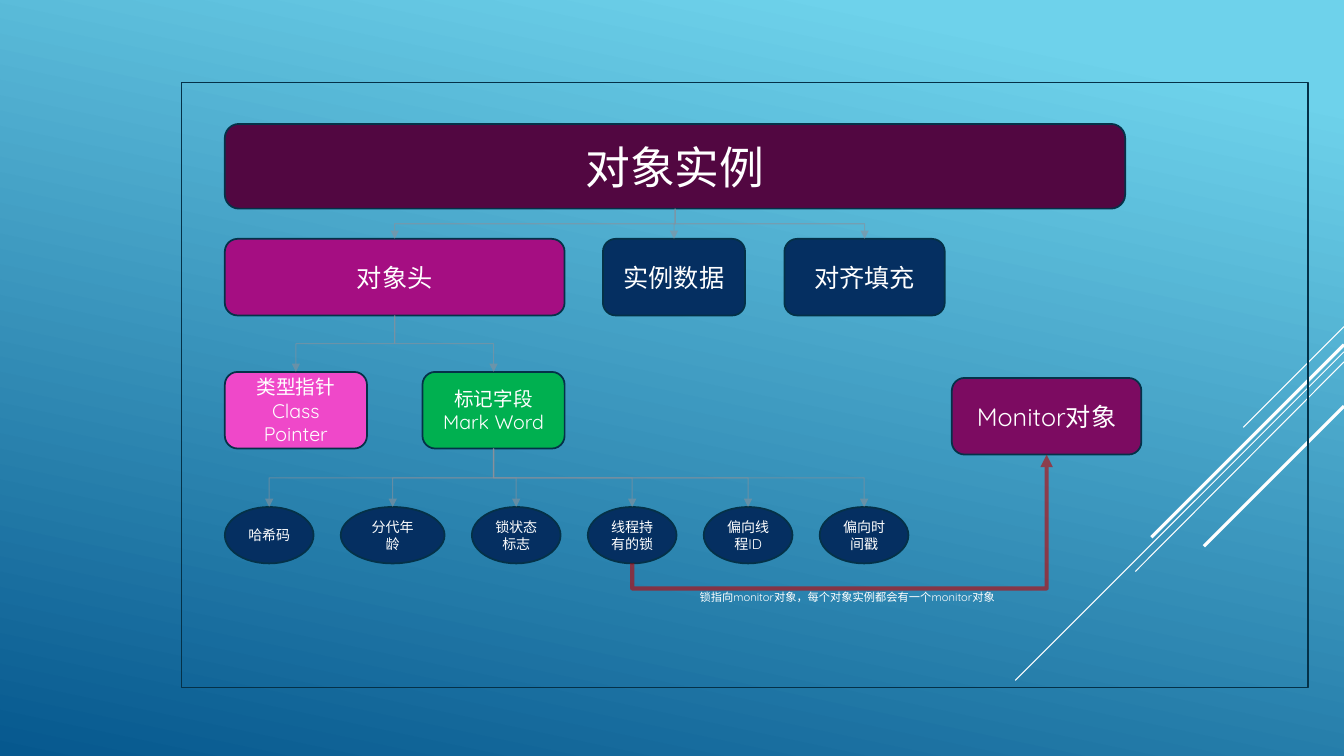
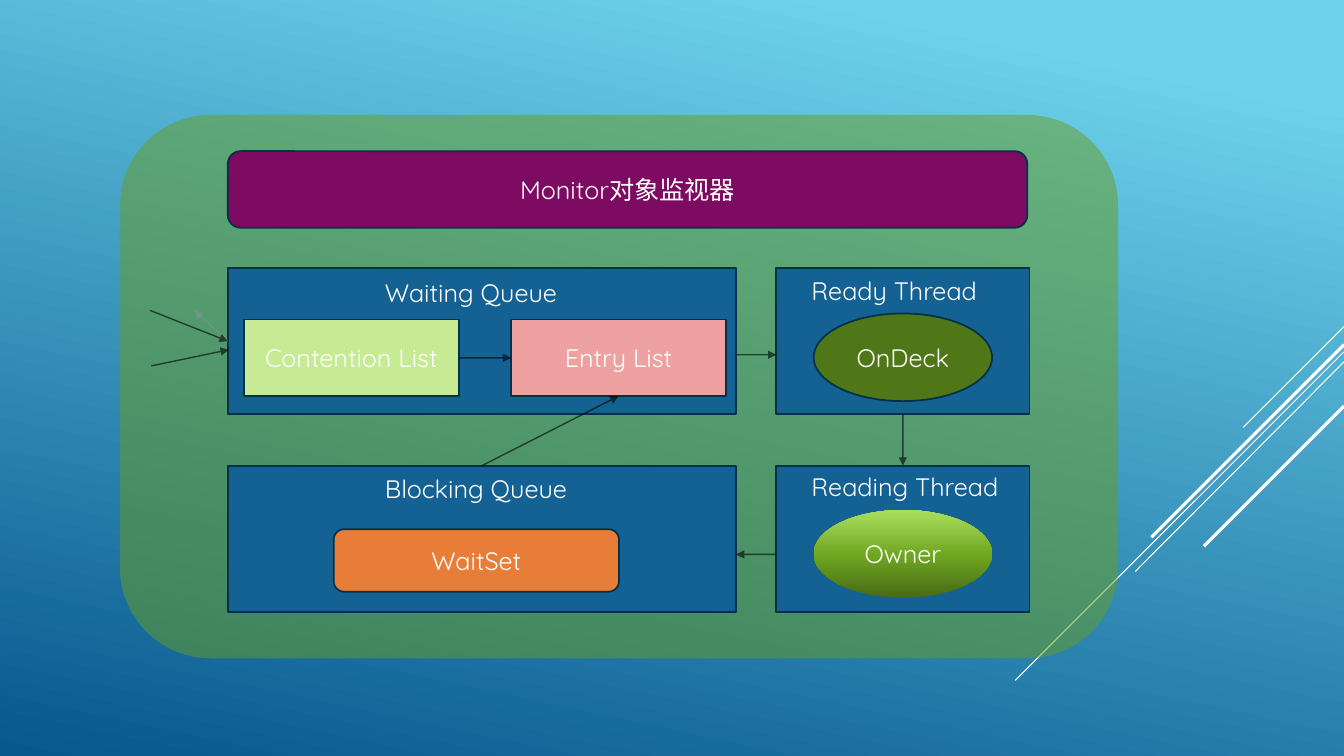
from copy import deepcopy

from lxml import etree
from pptx import Presentation, util as u
from pptx.dml import color
from pptx.enum import shapes, text
from pptx.oxml import ns

PX = 9144
RECT = shapes.MSO_SHAPE.RECTANGLE
ROUND = shapes.MSO_SHAPE.ROUNDED_RECTANGLE
OVAL = shapes.MSO_SHAPE.OVAL
TOP, LEFT, BOTTOM, RIGHT = range(4)


def px(length):
    """Turn px into EMU."""
    return u.Emu(length * PX)


def rgb(code):
    """Turn a hex string into a colour."""
    return color.RGBColor.from_string(code)


def find(item, tag):
    """Return the first element of a kind inside an item."""
    return item.element.find(".//" + ns.qn(tag))


def add_xml(parent, tag, **attributes):
    """Append a small XML element."""
    return etree.SubElement(parent, ns.qn(tag), **attributes)


class Slides:
    """Holds the style and the current slide."""

    FONT = "Quicksand"
    WHITE = "FFFFFF"
    OUTLINE = "043148"
    NAVY = "052F61"
    BLUE = "146194"
    PLUM = "7C0B61"
    GREY = "89919C"
    BLACK = "000000"
    RED = "C00000"
    STRIPES = [
        (324, 1233, 424, 0.75),
        (349, 1007, 675, 0.75),
        (359, 1126, 567, 0.75),
        (342, 1142, 533, 2.25),
        (403, 1194, 542, 2.25),
    ]

    def __init__(self):
        """Open a deck with the shared background."""
        self.deck = Presentation()
        self.deck.slide_width, self.deck.slide_height = px(1333), px(750)
        master = self.deck.slide_master
        self.gradient(master, master.background.fill, 258,
                      [(0.1, "6ED2EB"), (1, "06588E")])

    def new_page(self):
        """Start a blank page with the diagonal stripes."""
        self.page = self.deck.slides.add_slide(self.deck.slide_layouts[6])
        for y, end_x, end_y, weight in self.STRIPES:
            self.line((1333, y), (end_x, end_y), self.WHITE, weight)

    def gradient(self, item, fill, angle, stops):
        """Fill with a linear gradient of any number of stops."""
        fill.gradient()
        fill.gradient_angle = angle
        stop_list = find(item, "a:gsLst")
        for _ in stops[2:]:
            stop_list.append(deepcopy(stop_list[-1]))
        for stop, (position, code) in zip(fill.gradient_stops, stops):
            stop.position = position
            stop.color.rgb = rgb(code)

    def fade(self, item, percent):
        """Make the first plain colour of an item translucent."""
        add_xml(find(item, "a:srgbClr"), "a:alpha", val=str(percent * 1000))

    def add_lines(self, frame, lines, size, align):
        """Add one paragraph for each line."""
        frame.word_wrap = True
        for number, line in enumerate(lines):
            para = frame.add_paragraph() if number else frame.paragraphs[0]
            para.alignment = align
            span = para.add_run()
            span.text = line
            span.font.name = self.FONT
            span.font.size = u.Pt(size)
            span.font.color.rgb = rgb(self.WHITE)

    def box(self, kind, place, fill=None, lines=(), size=18, outline=True):
        """Add a preset shape with centred text."""
        box = self.page.shapes.add_shape(kind, *map(px, place))
        box.shadow.inherit = False
        if fill:
            box.fill.solid()
            box.fill.fore_color.rgb = rgb(fill)
        else:
            box.fill.background()
        if outline:
            box.line.color.rgb = rgb(self.OUTLINE)
            box.line.width = u.Pt(1.25)
        else:
            box.line.fill.background()
        box.text_frame.vertical_anchor = text.MSO_ANCHOR.MIDDLE
        self.add_lines(box.text_frame, lines, size, text.PP_ALIGN.CENTER)
        return box

    def label(self, place, line, size=18):
        """Add a left-aligned text box."""
        label = self.page.shapes.add_textbox(*map(px, place))
        self.add_lines(label.text_frame, [line], size, text.PP_ALIGN.LEFT)
        label.text_frame.auto_size = text.MSO_AUTO_SIZE.SHAPE_TO_FIT_TEXT

    def connect(self, kind, start, end, code, weight):
        """Add a connector between points or (box, side) pairs."""
        points = [(0, 0) if hasattr(spot[0], "shape_id") else spot
                  for spot in (start, end)]
        link = self.page.shapes.add_connector(
            kind, *map(px, points[0] + points[1]))
        for spot, join in ((start, link.begin_connect), (end, link.end_connect)):
            if hasattr(spot[0], "shape_id"):
                join(*spot)
        link.line.color.rgb = rgb(code)
        link.line.width = u.Pt(weight)
        add_xml(link.element.spPr, "a:effectLst")
        return link

    def line(self, start, end, code, weight):
        """Add a straight line."""
        return self.connect(shapes.MSO_CONNECTOR.STRAIGHT, start, end, code, weight)

    def arrowhead(self, link):
        """Fade a connector and point its end."""
        self.fade(link, 60)
        add_xml(find(link, "a:ln"), "a:tailEnd", type="triangle")

    def arrow(self, start, end, code=BLACK, weight=1):
        """Add a straight arrow."""
        self.arrowhead(self.line(start, end, code, weight))

    def elbow(self, start, end, code=GREY, weight=0.75, bend=None):
        """Add a bent arrow that leaves a box's bottom vertically."""
        link = self.connect(shapes.MSO_CONNECTOR.ELBOW, (start, BOTTOM), end,
                            code, weight)
        self.arrowhead(link)
        across = link.end_x - link.begin_x
        down = link.end_y - link.begin_y
        middle_x = (link.begin_x + link.end_x) // 2
        middle_y = (link.begin_y + link.end_y) // 2
        link.width, link.height = abs(down), abs(across)
        link.left = middle_x - link.width // 2
        link.top = middle_y - link.height // 2
        frame = find(link, "a:xfrm")
        frame.set("rot", "5400000" if across <= 0 or down < 0 else "16200000")
        frame.set("flipH", str(int(across > 0)))
        frame.set("flipV", str(int(down < 0)))
        if start.auto_shape_type == OVAL:
            find(link, "a:stCxn").set("idx", "4")
        if bend is not None:
            add_xml(find(link, "a:avLst"), "a:gd", name="adj1",
                    fmla=f"val {round(bend * 100000)}")

    def tree(self, parent, children):
        """Join a parent to the top of each child."""
        for child in children:
            self.elbow(parent, (child, TOP))


def object_page(deck):
    """Draw the layout of an object instance."""
    deck.new_page()
    instance = deck.box(ROUND, (223, 123, 893, 84), "520741", ["对象实例"], 32)
    header, *others = [
        deck.box(ROUND, (left, 237, width, 76), fill, [name])
        for left, width, fill, name in (
            (223, 337, "A50E82", "对象头"),
            (598, 141, deck.NAVY, "实例数据"),
            (778, 159, deck.NAVY, "对齐填充"),
        )
    ]
    pointer, mark = [
        deck.box(ROUND, (left, 369, 141, 76), fill, lines, 14)
        for left, fill, lines in (
            (223, "EF48C9", ["类型指针", "Class Pointer"]),
            (419, "00B050", ["标记字段", "Mark Word"]),
        )
    ]
    deck.box(RECT, (180, 82, 1117, 600))

    fields = []
    left = 223
    for name, width in (("哈希码", 88), ("分代年龄", 103), ("锁状态标志", 88),
                        ("线程持有的锁", 88), ("偏向线程ID", 88),
                        ("偏向时间戳", 88)):
        fields.append(deck.box(OVAL, (left, 503, width, 56), deck.NAVY, [name], 10))
        left += width + 27

    deck.tree(instance, [header, *others])
    deck.tree(header, [pointer, mark])
    deck.tree(mark, fields)

    monitor = deck.box(ROUND, (944, 375, 188, 76), deck.PLUM, ["Monitor对象"])
    held_lock = fields[3]
    deck.elbow(held_lock, (monitor, BOTTOM), deck.RED, 3, -0.23)
    deck.label((684, 581, 319, 24),
               "锁指向monitor对象，每个对象实例都会有一个monitor对象", 8)


def monitor_page(deck):
    """Draw the queues and threads of a monitor."""
    deck.new_page()
    panel = deck.box(ROUND, (119, 114, 990, 539), "6A9E1F", outline=False)
    deck.fade(panel, 50)
    deck.box(ROUND, (226, 150, 793, 76), deck.PLUM, ["Monitor对象监视器"])

    waiting, ready, blocking, reading = [
        deck.box(RECT, (left, top, width, 145), deck.BLUE)
        for top in (266, 462)
        for left, width in ((226, 504), (770, 251))
    ]
    for left, top, width, title in (
        (372, 270, 243, "Waiting Queue"),
        (795, 268, 217, "Ready Thread"),
        (372, 465, 243, "Blocking Queue"),
        (795, 463, 217, "Reading Thread"),
    ):
        deck.label((left, top, width, 40), title)

    contention, entry = [
        deck.box(RECT, (left, 317, 213, 76), fill, [name])
        for left, fill, name in ((242, "C7EA94", "Contention List"),
                                 (507, "EEA1A1", "Entry List"))
    ]
    deck.box(ROUND, (331, 525, 283, 62), "E87D37", ["WaitSet"])
    deck.box(OVAL, (807, 311, 177, 87), "4F7717", ["OnDeck"])
    owner = deck.box(OVAL, (807, 506, 177, 87), deck.BLUE, ["Owner"], outline=False)
    deck.gradient(owner, owner.fill, 90,
                  [(0, "476A15"), (0.48, "6FA621"), (1, "AADF5E")])

    deck.arrow((waiting, LEFT), (193, 308), deck.GREY, 0.75)
    for start, end in (
        ((149, 308), (waiting, LEFT)),
        ((150, 363), (227, 347)),
        ((contention, RIGHT), (entry, LEFT)),
        ((730, 352), (770, 352)),
        ((ready, BOTTOM), (reading, TOP)),
        ((770, 550), (730, 550)),
        ((blocking, TOP), (entry, BOTTOM)),
    ):
        deck.arrow(start, end)


def main():
    """Build and save the deck."""
    slides = Slides()
    object_page(slides)
    monitor_page(slides)
    slides.deck.save("out.pptx")


if __name__ == "__main__":
    main()
